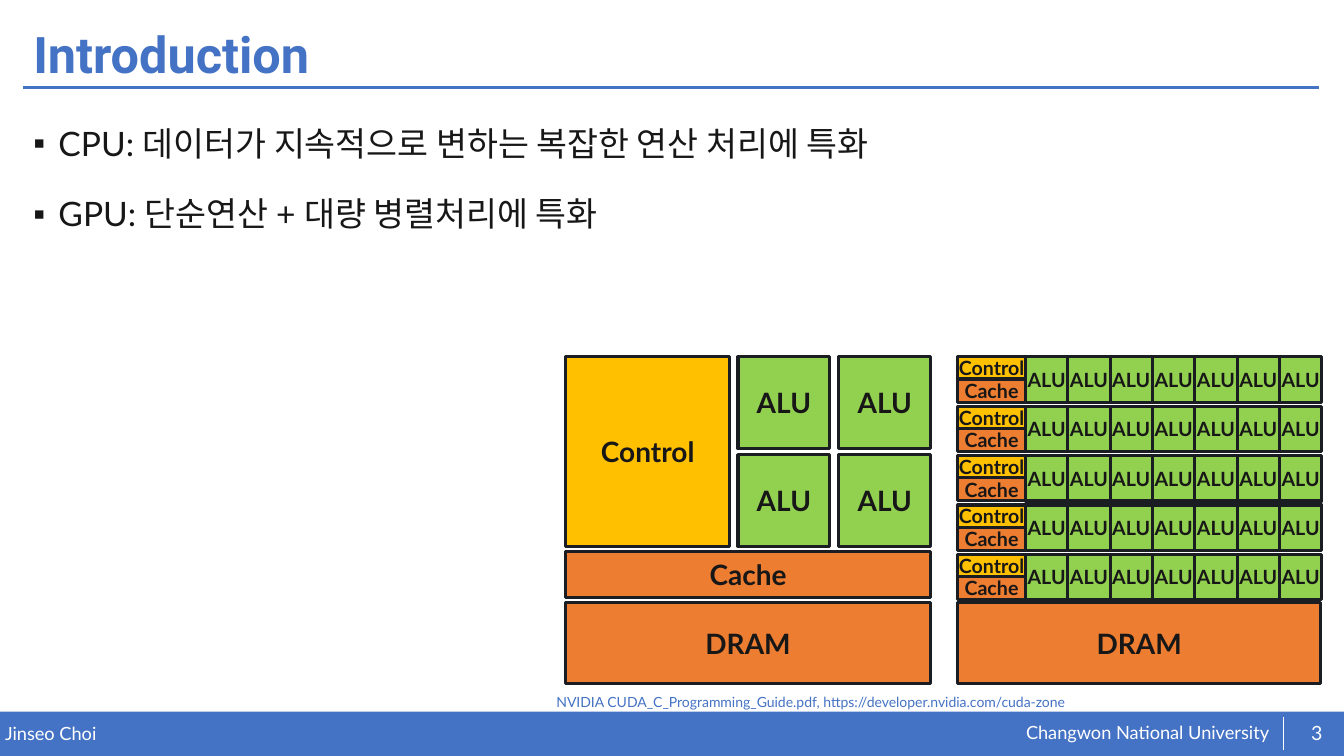
from lxml import etree
from pptx import Presentation
from pptx.dml.color import RGBColor
from pptx.enum import shapes, text
from pptx.oxml import ns
from pptx.util import Inches, Pt

BLUE = RGBColor(0x44, 0x72, 0xC4)
WHITE = RGBColor(0xFF, 0xFF, 0xFF)
INK = RGBColor(0x18, 0x17, 0x17)
OUTLINE = RGBColor(0x1A, 0x1D, 0x21)
ORANGE = RGBColor(0xED, 0x7D, 0x31)
YELLOW = RGBColor(0xFF, 0xC0, 0x00)
GREEN = RGBColor(0x92, 0xD0, 0x50)
FILLS = {"Control": YELLOW, "Cache": ORANGE, "DRAM": ORANGE, "ALU": GREEN}

# Content
TITLE = "Introduction"
BULLETS = [
    "CPU: 데이터가 지속적으로 변하는 복잡한 연산 처리에 특화",
    "GPU: 단순연산 + 대량 병렬처리에 특화",
]
# text, (left, top, width, height), size, colour, alignment, anchor, inset
TOP, MIDDLE = text.MSO_ANCHOR.TOP, text.MSO_ANCHOR.MIDDLE
LEFT, CENTER = text.PP_ALIGN.LEFT, text.PP_ALIGN.CENTER
LABELS = [
    (" Changwon National University", (10.13, 7.16, 2.71, 0.23), 13, WHITE, LEFT, TOP, (0, 0)),
    ("Jinseo Choi", (0.05, 7.17, 6.55, 0.22), 13, WHITE, LEFT, TOP, (0, 0)),
    ("3", (12.82, 7.07, 0.48, 0.4), 14, WHITE, CENTER, MIDDLE, (0, 0)),
    ("NVIDIA CUDA_C_Programming_Guide.pdf, https://developer.nvidia.com/cuda-zone",
     (5.42, 6.83, 6.7, 0.27), 10, BLUE, LEFT, TOP, (0.1, 0.05)),
]
RULES = [((0.23, 0.87), (13.08, 0.87), BLUE, 2), ((12.73, 7.11), (12.73, 7.44), WHITE, 0.5)]

# Diagram measures
CHIP_TOP = 3.54
CPU_LEFT, CPU_WIDTH = 5.61, 3.62
CPU_ALU_LEFT, CPU_ALU_SIZE = 7.32, 0.91
CPU_ALU_STEP_X, CPU_ALU_STEP_Y = 1.0, 0.97
GPU_LEFT, GPU_WIDTH = 9.5, 3.6
GPU_ROWS, GPU_ROW_STEP, GPU_ROW_HEIGHT = 5, 0.49, 0.45
GPU_HEAD_WIDTH, GPU_CONTROL_HEIGHT = 0.67, 0.22
GPU_ALUS, GPU_ALU_WIDTH = 7, 0.42
DRAM_TOP, DRAM_HEIGHT = 5.98, 0.8


def place(shape, box):
    shape.left, shape.top, shape.width, shape.height = map(Inches, box)


def set_insets(frame, side, end):
    frame.margin_left = frame.margin_right = Inches(side)
    frame.margin_top = frame.margin_bottom = Inches(end)


def set_font(paragraph, size, color, name="Lato", bold=False):
    font = paragraph.font
    font.name, font.size, font.bold = name, Pt(size), bold
    font.color.rgb = color


def add_rectangle(slide, box, fill):
    shape = slide.shapes.add_shape(shapes.MSO_SHAPE.RECTANGLE, *map(Inches, box))
    shape.shadow.inherit = False
    shape.fill.solid()
    shape.fill.fore_color.rgb = fill
    shape.line.fill.background()
    return shape


def add_block(slide, name, box, small=False):
    shape = add_rectangle(slide, box, FILLS[name])
    shape.line.color.rgb = OUTLINE
    shape.line.width = Pt(2.25)
    frame = shape.text_frame
    frame.vertical_anchor = MIDDLE
    if small:
        set_insets(frame, 0, 0)
    paragraph = frame.paragraphs[0]
    paragraph.text = name
    paragraph.alignment = CENTER
    set_font(paragraph, 14 if small else 20, INK, bold=True)


def add_label(slide, words, box, size, color, alignment, anchor, insets):
    frame = slide.shapes.add_textbox(*map(Inches, box)).text_frame
    frame.word_wrap = True
    frame.vertical_anchor = anchor
    set_insets(frame, *insets)
    paragraph = frame.paragraphs[0]
    paragraph.text = words
    paragraph.alignment = alignment
    set_font(paragraph, size, color)


def add_rule(slide, start, end, color, width):
    line = slide.shapes.add_connector(
        shapes.MSO_CONNECTOR.STRAIGHT, *map(Inches, start + end))
    line.line.color.rgb = color
    line.line.width = Pt(width)
    etree.SubElement(line._element.spPr, ns.qn("a:effectLst"))


def fill_title(title):
    place(title, (0.23, 0.18, 12.86, 0.77))
    frame = title.text_frame
    frame.auto_size = text.MSO_AUTO_SIZE.NONE
    frame.vertical_anchor = MIDDLE
    paragraph = frame.paragraphs[0]
    paragraph.text = TITLE
    paragraph.alignment = LEFT
    paragraph.line_spacing = 0.9
    set_font(paragraph, 36, BLUE, "Roboto", True)


def fill_body(body):
    place(body, (0.23, 1.01, 12.86, 5.63))
    frame = body.text_frame
    frame.auto_size = text.MSO_AUTO_SIZE.NONE
    frame.text = "\n".join(BULLETS)
    for index, paragraph in enumerate(frame.paragraphs):
        properties = paragraph._p.get_or_add_pPr()
        properties.set("marL", str(Inches(0.25)))
        properties.set("indent", str(-Inches(0.25)))
        etree.SubElement(properties, ns.qn("a:buChar")).set("char", "▪")
        paragraph.line_spacing = 1.4
        paragraph.space_before = Pt(10 if index else 0)
        set_font(paragraph, 24, INK)


def draw_cpu(slide):
    add_block(slide, "DRAM", (CPU_LEFT, DRAM_TOP, CPU_WIDTH, DRAM_HEIGHT))
    add_block(slide, "Cache", (CPU_LEFT, 5.47, CPU_WIDTH, 0.46))
    add_block(slide, "Control", (CPU_LEFT, CHIP_TOP, 1.63, 1.88))
    for row in range(2):
        for column in range(2):
            add_block(slide, "ALU", (CPU_ALU_LEFT + column * CPU_ALU_STEP_X,
                                     CHIP_TOP + row * CPU_ALU_STEP_Y,
                                     CPU_ALU_SIZE, CPU_ALU_SIZE))


def draw_gpu(slide):
    add_block(slide, "DRAM", (GPU_LEFT, DRAM_TOP, GPU_WIDTH, DRAM_HEIGHT))
    for row in range(GPU_ROWS):
        top = CHIP_TOP + row * GPU_ROW_STEP
        for column in range(GPU_ALUS):
            left = GPU_LEFT + GPU_HEAD_WIDTH + column * GPU_ALU_WIDTH
            add_block(slide, "ALU", (left, top, GPU_ALU_WIDTH, GPU_ROW_HEIGHT), small=True)
        add_block(slide, "Control",
                  (GPU_LEFT, top, GPU_HEAD_WIDTH, GPU_CONTROL_HEIGHT), small=True)
        add_block(slide, "Cache",
                  (GPU_LEFT, top + GPU_CONTROL_HEIGHT, GPU_HEAD_WIDTH,
                   GPU_ROW_HEIGHT - GPU_CONTROL_HEIGHT), small=True)


def main():
    presentation = Presentation()
    presentation.slide_width, presentation.slide_height = Inches(13.33), Inches(7.5)
    slide = presentation.slides.add_slide(presentation.slide_layouts[1])

    # Title and bullets
    fill_title(slide.shapes.title)
    fill_body(slide.placeholders[1])

    # Footer band, rules and labels
    add_rectangle(slide, (0, 7.06, 13.33, 0.44), BLUE)
    for rule in RULES:
        add_rule(slide, *rule)
    for label in LABELS:
        add_label(slide, *label)

    # Processor diagrams
    draw_cpu(slide)
    draw_gpu(slide)
    presentation.save("out.pptx")


if __name__ == "__main__":
    main()
